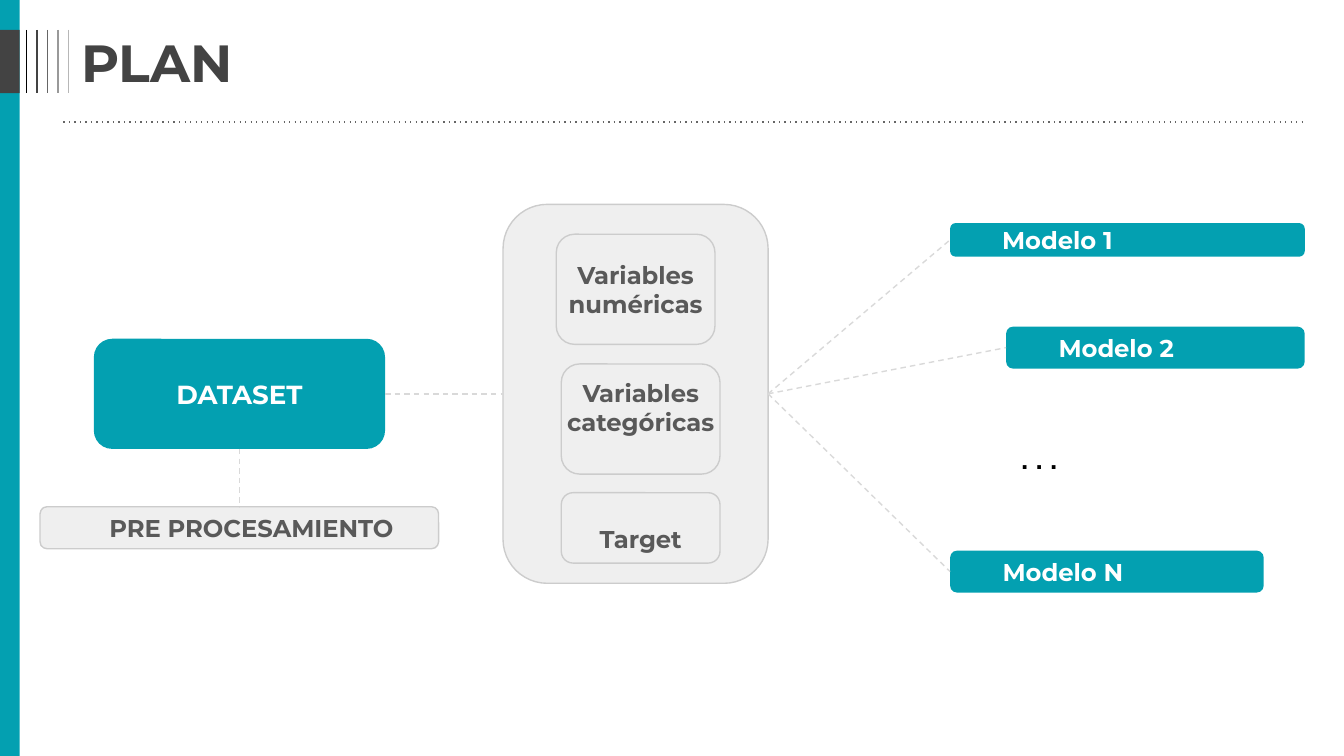
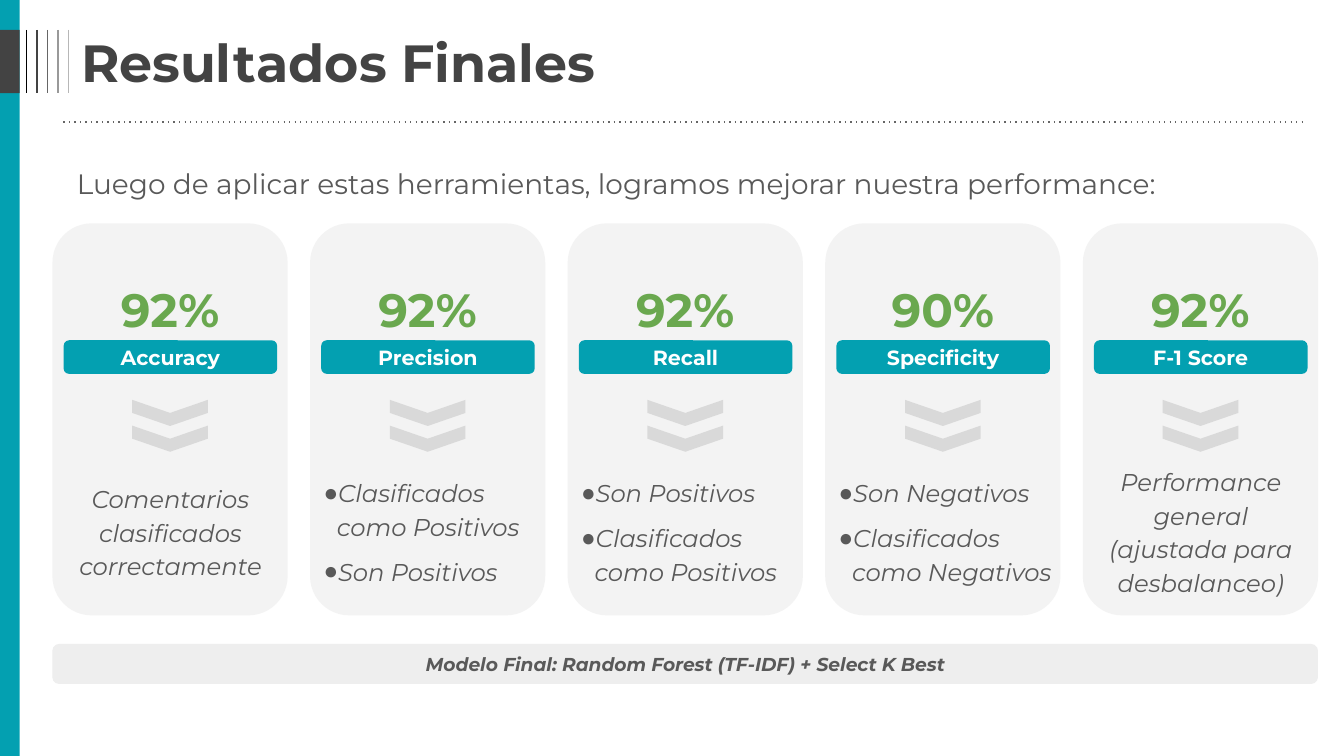
"""Build the plan and final results slides of a text classification project."""
from dataclasses import dataclass

from lxml import etree
from pptx import Presentation, util as u
from pptx.dml import color
from pptx.enum import dml, shapes, text
from pptx.oxml import ns

TEAL, CHARCOAL, GRAY, WHITE = "03A0B1", "434343", "595959", "FFFFFF"
PANEL, BORDER, PALE, CARD, GREEN = "EFEFEF", "CCCCCC", "D9D9D9", "F3F3F3", "6AA84F"
STRIPES = ["000000", CHARCOAL, "666666", "999999", "B7B7B7"]
ROUNDED = shapes.MSO_SHAPE.ROUNDED_RECTANGLE
LEFT, CENTER = text.PP_ALIGN.LEFT, text.PP_ALIGN.CENTER
TOP, MIDDLE = text.MSO_ANCHOR.TOP, text.MSO_ANCHOR.MIDDLE

MODELS = [
    ("Modelo 1", 509, 119.5, 190, 18),
    ("Modelo 2", 539, 175, 160, 22.5),
    ("Modelo N", 509, 295, 168, 22.5),
]
METRICS = [
    ("92%", "Accuracy", "Comentarios clasificados correctamente"),
    ("92%", "Precision", ["Clasificados como Positivos", "Son Positivos"]),
    ("92%", "Recall", ["Son Positivos", "Clasificados como Positivos"]),
    ("90%", "Specificity", ["Son Negativos", "Clasificados como Negativos"]),
    ("92%", "F-1 Score", "Performance general (ajustada para desbalanceo)"),
]


@dataclass
class Style:
    size: float
    color: str = GRAY
    bold: bool = False
    italic: bool = False
    align: int = CENTER
    anchor: int = MIDDLE
    insets: tuple = (7.2, 0, 7.2, 0)
    spacing: float = 1
    before: float = 0
    after: float = 0
    bullet: str = ""
    font: str = "Montserrat"


def rgb(value):
    return color.RGBColor.from_string(value)


def place(shape, left, top, width, height):
    shape.left, shape.top = u.Pt(left), u.Pt(top)
    shape.width, shape.height = u.Pt(width), u.Pt(height)


def set_bullet(paragraph, bullet):
    properties = paragraph._p.get_or_add_pPr()
    properties.set("marL", str(u.Pt(7.2) if bullet else 0))
    properties.set("indent", str(u.Pt(-9.4) if bullet else 0))
    if bullet:
        tint = etree.SubElement(properties, ns.qn("a:buClr"))
        etree.SubElement(tint, ns.qn("a:srgbClr"), val=GRAY)
        etree.SubElement(properties, ns.qn("a:buChar"), char=bullet)
    else:
        etree.SubElement(properties, ns.qn("a:buNone"))


def write(shape, lines, style):
    frame = shape.text_frame
    frame.word_wrap = True
    frame.auto_size = text.MSO_AUTO_SIZE.NONE
    frame.vertical_anchor = style.anchor
    (frame.margin_left, frame.margin_top,
     frame.margin_right, frame.margin_bottom) = map(u.Pt, style.insets)
    for index, line in enumerate(lines):
        paragraph = frame.add_paragraph() if index else frame.paragraphs[0]
        set_bullet(paragraph, style.bullet)
        paragraph.alignment = style.align
        paragraph.line_spacing = style.spacing
        paragraph.space_before = u.Pt(style.before if index else 0)
        paragraph.space_after = u.Pt(style.after)
        run = paragraph.add_run()
        run.text = line
        run.font.name, run.font.size = style.font, u.Pt(style.size)
        run.font.bold, run.font.italic = style.bold, style.italic
        run.font.color.rgb = rgb(style.color)


def add_box(slide, box, fill, kind=ROUNDED, border=None):
    shape = slide.shapes.add_shape(kind, *map(u.Pt, box))
    shape.shadow.inherit = False
    shape.fill.solid()
    shape.fill.fore_color.rgb = rgb(fill)
    if border:
        shape.line.color.rgb = rgb(border)
        shape.line.width = u.Pt(0.75)
    else:
        shape.line.fill.background()
    return shape


def add_label(slide, box, label, style, fill=TEAL, border=None):
    write(add_box(slide, box, fill, border=border), [label], style)


def add_text(slide, box, lines, style):
    write(slide.shapes.add_textbox(*map(u.Pt, box)), lines, style)


def fill_placeholder(placeholder, box, lines, style):
    placeholder.element.getparent().append(placeholder.element)
    place(placeholder, *box)
    write(placeholder, lines, style)


def add_line(slide, start, end, tint, dash=None):
    connector = slide.shapes.add_connector(
        shapes.MSO_CONNECTOR.STRAIGHT, *map(u.Pt, start + end))
    connector.line.color.rgb = rgb(tint)
    connector.line.width = u.Pt(0.75)
    if dash:
        connector.line.dash_style = dml.MSO_LINE.DASH
        connector.element.find(".//" + ns.qn("a:prstDash")).set("val", dash)
    etree.SubElement(connector.element.find(ns.qn("p:spPr")), ns.qn("a:effectLst"))


def add_slide(presentation, layout, title):
    slide = presentation.slides.add_slide(presentation.slide_layouts.get_by_name(layout))
    rectangle = shapes.MSO_SHAPE.RECTANGLE
    add_box(slide, (-1, 0, 11.5, 405), TEAL, rectangle)
    add_box(slide, (-1, 16, 11.5, 34), CHARCOAL, rectangle)
    for index, tint in enumerate(STRIPES):
        left = 14.3 + 5.6 * index
        add_line(slide, (left, 16), (left, 50), tint)
    add_line(slide, (34, 65.3), (699, 65.3), "666666", "dot")
    fill_placeholder(slide.shapes.title, (34, 16, 665, 34), [title],
                     Style(28, CHARCOAL, bold=True, align=LEFT, insets=(9.5, 3.6, 7.2, 3.6)))
    return slide


def build_plan(presentation):
    slide = add_slide(presentation, "Title Only", "PLAN")
    add_box(slide, (269.5, 109.5, 142, 203), PANEL, border=BORDER)
    variables = [
        ("Variables numéricas", (298, 125.5, 85, 59), 0, 0),
        ("Variables categóricas", (300.7, 195, 85, 59), 0, 13),
        ("Target", (300.7, 264, 85, 37.7), 12, 0),
    ]
    for label, box, above, below in variables:
        style = Style(13, bold=True, insets=(0, above, 0, below))
        add_label(slide, box, label, style, PANEL, BORDER)

    add_label(slide, (50.3, 181.5, 156, 59), "DATASET", Style(14, WHITE, bold=True))
    add_label(slide, (21.5, 271.5, 213.5, 22.5), "PRE PROCESAMIENTO",
              Style(13, bold=True, align=LEFT, insets=(36, 0, 0, 0)), PANEL, BORDER)
    add_line(slide, (128.3, 240.5), (128.3, 271.5), PALE, "dash")
    add_line(slide, (206.3, 211), (269.5, 211), PALE, "dash")

    model_style = Style(13, WHITE, bold=True, align=LEFT, insets=(27, 0, 7.2, 0))
    for label, left, top, width, height in MODELS:
        add_label(slide, (left, top, width, height), label, model_style)
        add_line(slide, (411.5, 211), (left, top + height / 2), PALE, "dash")
    add_text(slide, (540, 230.5, 168, 31.5), [". . ."],
             Style(14, "000000", bold=True, align=LEFT, anchor=TOP,
                   insets=(7.2,) * 4, font="Arial"))


def build_results(presentation):
    slide = add_slide(presentation, "Comparison", "Resultados Finales")
    intro, *lists = [p for p in slide.placeholders if p.placeholder_format.idx]
    score_style = Style(25, GREEN, bold=True, spacing=1.15, after=12)
    note_style = Style(13, italic=True, spacing=1.15, after=12, insets=(7.2,) * 4)
    list_style = Style(13, italic=True, align=LEFT, spacing=1.15, before=6,
                       insets=(7.2, 7.2, 4.3, 7.2), bullet="●")
    for index, (score, name, meaning) in enumerate(METRICS):
        left = 28.1 + 138 * index
        add_box(slide, (left, 119.7, 126, 210), CARD)
        add_label(slide, (left + 6, 182.3, 114.4, 18), name, Style(11, WHITE, bold=True))
        for top in (201, 214.8):
            chevron = add_box(slide, (left + 56, top, 14, 40.5), PALE,
                              shapes.MSO_SHAPE.CHEVRON)
            chevron.rotation = 90
        add_text(slide, (left + 11.5, 152.7, 103, 21.5), [score], score_style)
        if isinstance(meaning, list):
            fill_placeholder(lists.pop(0), (left, 254, 126, 60), meaning, list_style)
        else:
            add_text(slide, (left + 6, 254, 114.4, 60), [meaning], note_style)

    fill_placeholder(
        intro, (34, 79.2, 665, 34),
        ["Luego de aplicar estas herramientas, logramos mejorar nuestra performance:"],
        Style(15, align=LEFT, anchor=TOP, spacing=1.15, after=12, insets=(7.2,) * 4))
    add_label(slide, (28.1, 345, 678, 21.4),
              "Modelo Final: Random Forest (TF-IDF) + Select K Best",
              Style(10, bold=True, italic=True), "EEEEEE")


def main():
    presentation = Presentation()
    presentation.slide_width, presentation.slide_height = u.Pt(720), u.Pt(405)
    build_plan(presentation)
    build_results(presentation)
    presentation.save("out.pptx")


if __name__ == "__main__":
    main()
